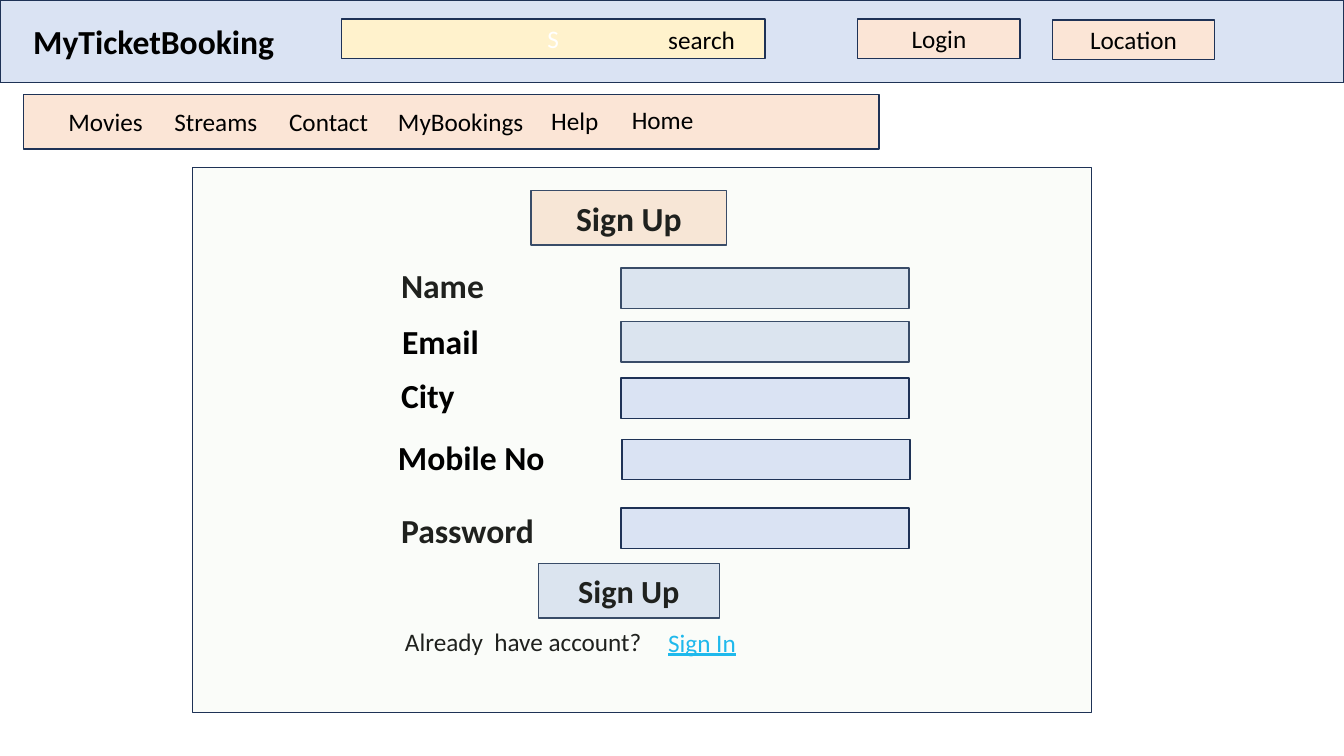
from pptx import Presentation
from pptx.dml.color import RGBColor
from pptx.enum.shapes import MSO_SHAPE
from pptx.enum.text import MSO_ANCHOR, PP_ALIGN
from pptx.oxml.ns import qn
from pptx.util import Pt
from lxml.etree import SubElement

BLACK = RGBColor(0x00, 0x00, 0x00)
WHITE = RGBColor(0xFF, 0xFF, 0xFF)
NAVY = RGBColor(0x1E, 0x32, 0x56)
BLUE = RGBColor(0xDA, 0xE3, 0xF3)
PEACH = RGBColor(0xFB, 0xE5, 0xD6)
CREAM = RGBColor(0xFF, 0xF2, 0xCC)
GREEN = RGBColor(0xE2, 0xF0, 0xD9)
SKY = RGBColor(0x00, 0xB0, 0xF0)


def write(frame, text, size=18, color=BLACK, bold=False, line=False,
          align=PP_ALIGN.LEFT):
    para = frame.paragraphs[0]
    para.alignment = align
    run = para.add_run()
    run.text = text
    font = run.font
    font.name, font.size, font.bold = "Calibri", Pt(size), bold
    font.underline = line
    font.color.rgb = color


def label(slide, text, x, y, w, h=29, wrap=True, **style):
    frame = slide.shapes.add_textbox(Pt(x), Pt(y), Pt(w), Pt(h)).text_frame
    frame.word_wrap = wrap
    write(frame, text, **style)


def block(slide, x, y, w, h, fill, text="", **style):
    shape = slide.shapes.add_shape(MSO_SHAPE.RECTANGLE, Pt(x), Pt(y), Pt(w), Pt(h))
    shape.shadow.inherit = False
    shape.fill.solid()
    shape.fill.fore_color.rgb = fill
    shape.line.color.rgb = NAVY
    shape.line.width = Pt(1)
    if text:
        shape.text_frame.vertical_anchor = MSO_ANCHOR.MIDDLE
        write(shape.text_frame, text, align=PP_ALIGN.CENTER, **style)
    return shape


def header(slide, x, y, w, h):
    block(slide, x, y, w, h, BLUE)
    label(slide, "MyTicketBooking", x + 16.6, y + 11.5, 202.3, 36, size=24, bold=True)
    # Search box
    block(slide, x + 244, y + 13.7, 302.4, 28, CREAM, "S", color=WHITE)
    label(slide, "search", x + 470.2, y + 13.7, 153.4)
    # Buttons
    for text, dx, dy in (("Login", 612.7, 13.7), ("Location", 751.7, 14.4)):
        block(slide, x + dx, y + dy, 116, 28, PEACH, text)


def menu(slide, x, y, w, h):
    block(slide, x, y, w, h, PEACH)
    items = (("Movies", 25.2, 5), ("Streams", 100.8, 5), ("Contact", 182.8, 5),
             ("MyBookings", 260.6, 4.6), ("Help", 370, 3.8))
    for text, dx, dy in items:
        label(slide, text, x + dx, y + dy, 109)
    label(slide, "Home", x + 427.6, y + 3, 59, wrap=False)


def form(slide, x, y, w, h):
    def names(*rows):
        for text, dx, dy in rows:
            label(slide, text, x + dx, y + dy, 152, 36, size=24, bold=True)

    def fields(*rows):
        for dx, dy in rows:
            block(slide, x + dx, y + dy, 205.9, 28.8, BLUE)

    # Parts beneath the tinted panel
    block(slide, x + 241.9, y + 16.6, 139.7, 38.9, PEACH, "Sign Up", size=24, bold=True)
    names(("Name", 141.9, 66.3), ("Password", 141.9, 241.2))
    fields((306, 72), (306, 110.2))
    block(slide, x + 247, y + 283, 129.6, 38.9, BLUE, "Sign Up", size=23, bold=True)
    label(slide, "Already  have account?", x + 144.7, y + 324, 198)
    label(slide, "Sign In", x + 332.7, y + 324.7, 102, color=SKY, line=True)

    # Tinted panel
    panel = block(slide, x, y, w, h, GREEN)
    tint = panel.fill._xPr.find(qn("a:solidFill"))[0]
    SubElement(tint, qn("a:alpha")).set("val", "14000")

    # Parts above the panel
    names(("Email", 142.6, 105.9), ("City", 141.9, 144.7), ("Mobile No", 139.7, 188.7))
    fields((306, 150.5), (306.7, 194.4), (306, 243.4))


def main():
    deck = Presentation()
    deck.slide_width, deck.slide_height = Pt(960), Pt(540)
    slide = deck.slides.add_slide(deck.slide_layouts[6])
    header(slide, 0, 0, 960, 59)
    menu(slide, 16.6, 67.7, 611.3, 38.9)
    form(slide, 137.5, 119.5, 642.2, 389.5)
    deck.save("out.pptx")


if __name__ == "__main__":
    main()
